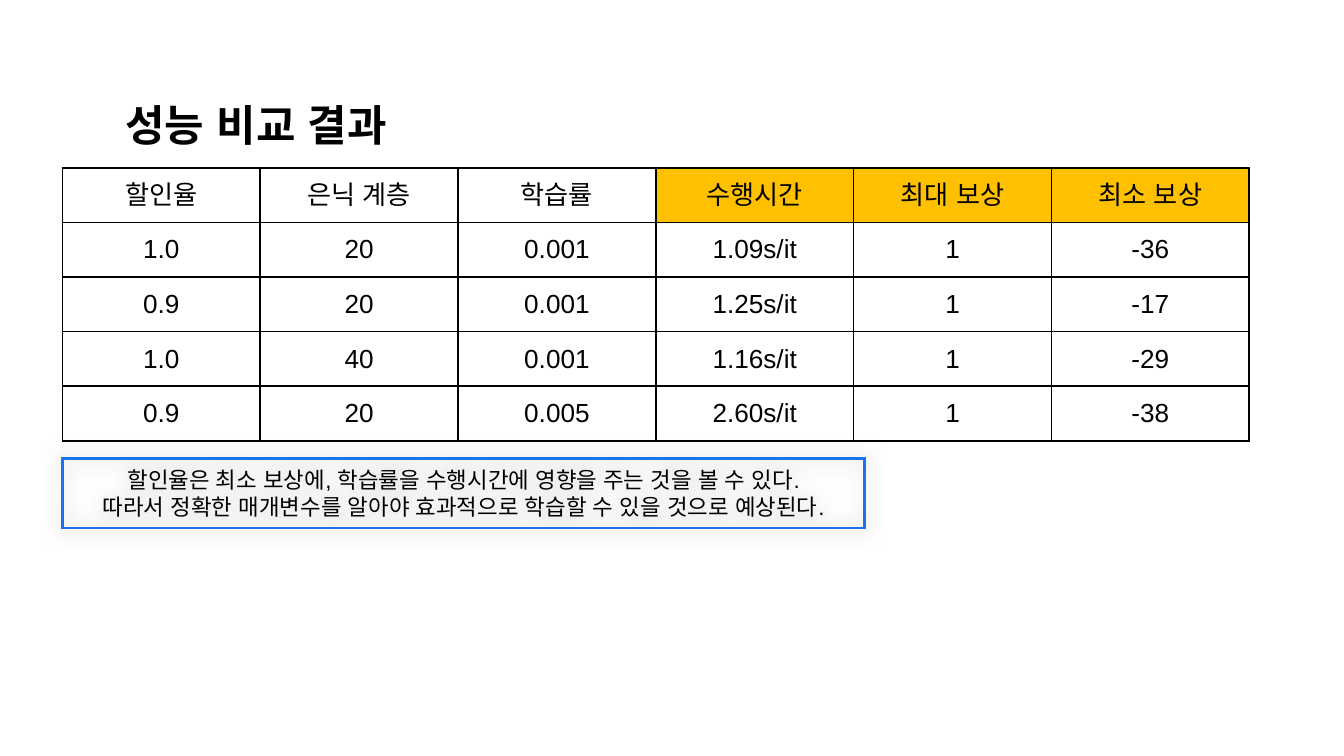
from lxml.etree import SubElement
from pptx import Presentation
from pptx.dml.color import RGBColor
from pptx.enum.shapes import MSO_SHAPE
from pptx.enum.text import MSO_ANCHOR, PP_ALIGN
from pptx.oxml.ns import qn
from pptx.util import Inches, Pt

BLACK = RGBColor(0x00, 0x00, 0x00)
AMBER = RGBColor(0xFF, 0xC0, 0x00)
BLUE = RGBColor(0x1A, 0x73, 0xE8)

# Widescreen, 16 to 9
WIDTH = Inches(10)
HEIGHT = WIDTH * 9 // 16
FONT = "Arial"

# Boxes: left, top, width, height in percent of the slide
TITLE_BOX = (9.33, 12.8, 41.6, 7.11)
TABLE_BOX = (4.65, 22.22, 88.3, 36.09)
NOTE_BOX = (4.65, 60.62, 59.7, 9.24)

TITLE = "성능 비교 결과"
HEADERS = ["할인율", "은닉 계층", "학습률", "수행시간", "최대 보상", "최소 보상"]
RESULTS = [
    ["1.0", "20", "0.001", "1.09s/it", "1", "-36"],
    ["0.9", "20", "0.001", "1.25s/it", "1", "-17"],
    ["1.0", "40", "0.001", "1.16s/it", "1", "-29"],
    ["0.9", "20", "0.005", "2.60s/it", "1", "-38"],
]
FIRST_MEASURE = 3  # columns from here on hold measured results
NOTE = [
    "할인율은 최소 보상에, 학습률을 수행시간에 영향을 주는 것을 볼 수 있다.",
    "따라서 정확한 매개변수를 알아야 효과적으로 학습할 수 있을 것으로 예상된다.",
]

TITLE_FORMAT = {"size": Pt(23), "bold": True}
CELL_FORMAT = {"size": Pt(14), "bold": False}
NOTE_FORMAT = {"size": Pt(12), "bold": False}
BARE_FRAME = {"margin_left": 0, "margin_right": 0, "margin_top": 0,
              "margin_bottom": 0, "word_wrap": True}


def set_all(target, values):
    for name, value in values.items():
        setattr(target, name, value)


def to_lengths(box):
    """Turn percentages of the slide into lengths."""
    return [int(side * share / 100)
            for side, share in zip((WIDTH, HEIGHT) * 2, box)]


def write(frame, lines, text_format, align):
    for index, line in enumerate(lines):
        para = frame.add_paragraph() if index else frame.paragraphs[0]
        para.alignment = align
        span = para.add_run()
        span.text = line
        set_all(span.font, {"name": FONT, **text_format})
        span.font.color.rgb = BLACK
        # Korean and complex scripts use the same font
        for script in ("ea", "cs"):
            SubElement(span.font._element, qn(f"a:{script}"), typeface=FONT)


def add_borders(cell):
    properties = cell._tc.get_or_add_tcPr()
    for side in ("lnL", "lnR", "lnT", "lnB"):
        border = SubElement(properties, qn(f"a:{side}"), w=str(Pt(1)))
        fill = SubElement(border, qn("a:solidFill"))
        SubElement(fill, qn("a:srgbClr"), val=str(BLACK))


def add_title(page, box):
    frame = page.shapes.add_textbox(*to_lengths(box)).text_frame
    set_all(frame, {**BARE_FRAME, "vertical_anchor": MSO_ANCHOR.BOTTOM})
    write(frame, [TITLE], TITLE_FORMAT, PP_ALIGN.LEFT)


def add_results(page, box):
    rows = [HEADERS, *RESULTS]
    table = page.shapes.add_table(
        len(rows), len(HEADERS), *to_lengths(box)).table
    set_all(table, {"first_row": False, "horz_banding": False})
    for row_index, row in enumerate(rows):
        for column_index, value in enumerate(row):
            cell = table.cell(row_index, column_index)
            cell.vertical_anchor = MSO_ANCHOR.MIDDLE
            write(cell.text_frame, [value], CELL_FORMAT, PP_ALIGN.CENTER)
            # Borders come before the fill in the cell properties
            add_borders(cell)
            if row_index == 0 and column_index >= FIRST_MEASURE:
                cell.fill.solid()
                cell.fill.fore_color.rgb = AMBER
            else:
                cell.fill.background()


def add_note(page, box):
    note = page.shapes.add_shape(MSO_SHAPE.ROUNDED_RECTANGLE, *to_lengths(box))
    note.adjustments[0] = 0
    note.fill.background()
    note.line.color.rgb = BLUE
    note.line.width = Pt(1.5)
    outline = note._element.spPr.find(qn("a:ln"))
    SubElement(outline, qn("a:miter"), lim="800000")

    # Soft shadow, centred behind the outline
    note.shadow.inherit = False
    effects = note._element.spPr.find(qn("a:effectLst"))
    shadow = SubElement(effects, qn("a:outerShdw"), blurRad=str(Pt(12)),
                        dist="0", dir="0", algn="ctr", rotWithShape="0")
    color = SubElement(shadow, qn("a:srgbClr"), val=str(BLACK))
    SubElement(color, qn("a:alpha"), val="25000")

    frame = note.text_frame
    set_all(frame, {**BARE_FRAME, "vertical_anchor": MSO_ANCHOR.MIDDLE})
    write(frame, NOTE, NOTE_FORMAT, PP_ALIGN.CENTER)


def main():
    deck = Presentation()
    deck.slide_width = WIDTH
    deck.slide_height = HEIGHT
    page = deck.slides.add_slide(deck.slide_layouts[6])
    add_title(page, TITLE_BOX)
    add_results(page, TABLE_BOX)
    add_note(page, NOTE_BOX)
    deck.save("out.pptx")


if __name__ == "__main__":
    main()
